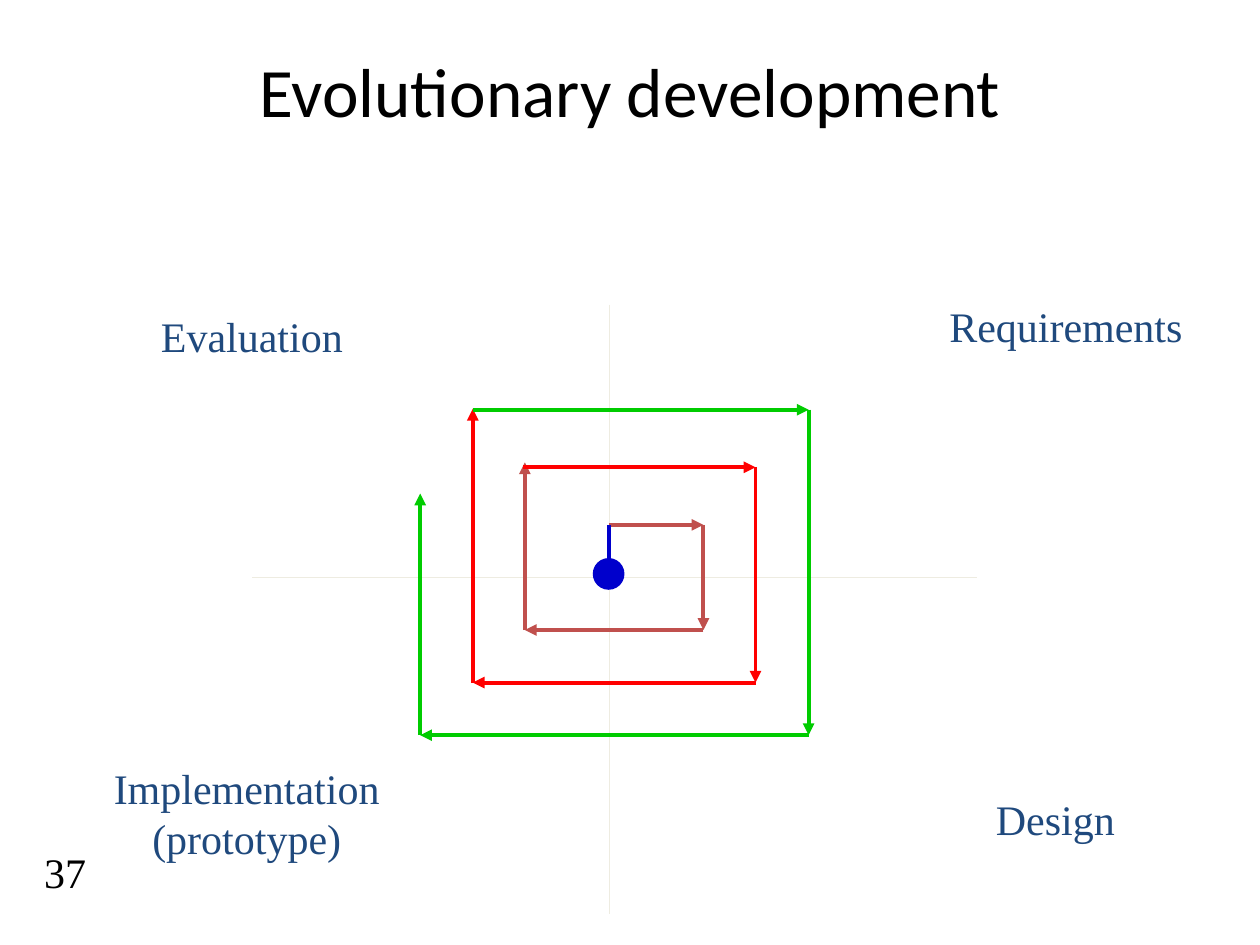
from dataclasses import dataclass
from itertools import pairwise

from lxml import etree
from pptx import Presentation
from pptx.dml.color import RGBColor
from pptx.enum.shapes import MSO_CONNECTOR, MSO_SHAPE
from pptx.enum.text import MSO_ANCHOR, PP_ALIGN
from pptx.oxml.ns import qn
from pptx.slide import Slide
from pptx.util import Cm, Pt

STRAIGHT = MSO_CONNECTOR.STRAIGHT
OVAL = MSO_SHAPE.OVAL
MIDDLE = MSO_ANCHOR.MIDDLE
LEFT = PP_ALIGN.LEFT
CENTER = PP_ALIGN.CENTER

COLORS = {
    "black": "000000",
    "navy": "1F497D",
    "axis": "EEECE1",
    "brown": "C0504D",
    "red": "FF0000",
    "green": "00CC00",
    "blue": "0000CC",
}


@dataclass
class Label:
    text: str
    left: float
    top: float
    width: float
    height: float = 1.27
    color: str = "navy"
    align: PP_ALIGN = CENTER


@dataclass
class Route:
    color: str
    points: list[tuple[float, float]]
    width: float = 2.25
    arrow: bool = True


LABELS = [
    Label("37", 0.64, 16.94, 2.74, color="black", align=LEFT),
    Label("Requirements", 18.63, 5.93, 5.72),
    Label("Design", 18.84, 15.88, 4.87),
    Label("Implementation\n(prototype)", 1.48, 15.24, 6.99, 2.29),
    Label("Evaluation", 2.33, 6.14, 5.5),
]

AXES = [
    Route("axis", [(12.28, 6.14), (12.28, 18.42)], 0.75, False),
    Route("axis", [(5.08, 11.64), (19.69, 11.64)], 0.75, False),
]

SPIRAL = [
    Route("brown", [(12.28, 10.58), (14.18, 10.58), (14.18, 12.7),
                    (10.58, 12.7), (10.58, 9.32)]),
    Route("red", [(10.54, 9.42), (15.23, 9.42), (15.23, 13.76),
                  (9.53, 13.76), (9.53, 8.24)]),
    Route("green", [(9.53, 8.26), (16.3, 8.26), (16.3, 14.82),
                    (8.47, 14.82), (8.47, 9.95)]),
    Route("blue", [(12.28, 11.43), (12.28, 10.58)], arrow=False),
]


def tint(name: str) -> RGBColor:
    return RGBColor.from_string(COLORS[name])


def write(slide: Slide, label: Label) -> None:
    box = slide.shapes.add_textbox(Cm(label.left), Cm(label.top),
                                   Cm(label.width), Cm(label.height))
    frame = box.text_frame
    frame.word_wrap = True
    frame.text = label.text
    for para in frame.paragraphs:
        para.alignment = label.align
        para.font.name = "Times New Roman"
        para.font.size = Pt(24)
        para.font.color.rgb = tint(label.color)


def trace(slide: Slide, route: Route) -> None:
    for (x1, y1), (x2, y2) in pairwise(route.points):
        link = slide.shapes.add_connector(STRAIGHT, Cm(x1), Cm(y1),
                                          Cm(x2), Cm(y2))
        link.line.width = Pt(route.width)
        link.line.color.rgb = tint(route.color)
        if route.arrow:
            etree.SubElement(link.line._get_or_add_ln(), qn("a:tailEnd"),
                             type="triangle")
        etree.SubElement(link._element.spPr, qn("a:effectLst"))


def head(slide: Slide, text: str) -> None:
    title = slide.shapes.title
    title.left, title.top = Cm(1.9), Cm(1.06)
    title.width, title.height = Cm(21.6), Cm(1.48)
    frame = title.text_frame
    frame.text = text
    frame.vertical_anchor = MIDDLE
    para = frame.paragraphs[0]
    para.alignment = CENTER
    para.font.name = "Calibri"
    para.font.size = Pt(39.6)
    para.font.color.rgb = tint("black")


def start(slide: Slide) -> None:
    dot = slide.shapes.add_shape(OVAL, Cm(11.95), Cm(11.25),
                                 Cm(0.64), Cm(0.64))
    dot.shadow.inherit = False
    dot.fill.solid()
    dot.fill.fore_color.rgb = tint("blue")
    dot.line.fill.background()


def main() -> None:
    deck = Presentation()
    deck.slide_width, deck.slide_height = Cm(25.4), Cm(19.05)
    slide = deck.slides.add_slide(deck.slide_layouts[5])
    head(slide, "Evolutionary development")
    for axis in AXES:
        trace(slide, axis)
    for label in LABELS:
        write(slide, label)
    for route in SPIRAL:
        trace(slide, route)
    start(slide)
    deck.save("out.pptx")


if __name__ == "__main__":
    main()
